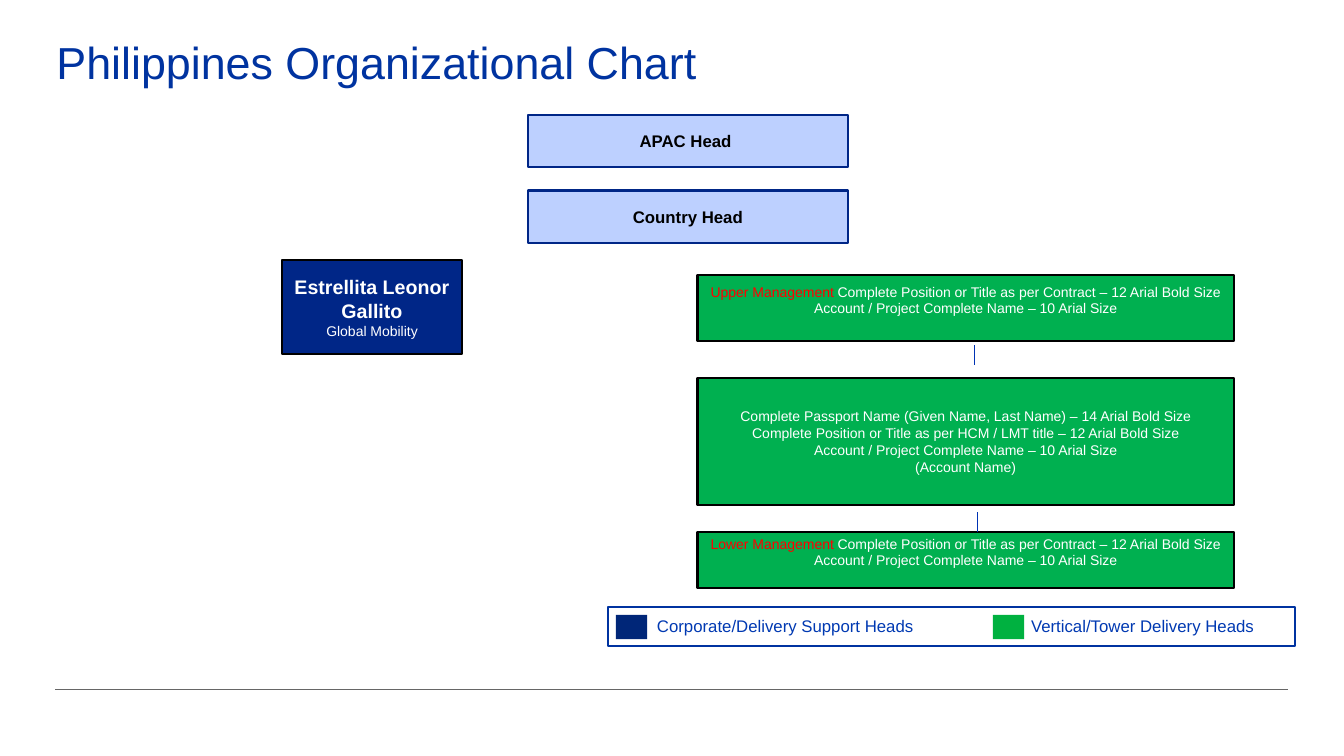
from dataclasses import dataclass

from lxml.etree import SubElement
from pptx import Presentation
from pptx.dml.color import RGBColor
from pptx.enum.shapes import MSO_CONNECTOR, MSO_SHAPE
from pptx.enum.text import MSO_ANCHOR, MSO_AUTO_SIZE, PP_ALIGN
from pptx.oxml.ns import qn
from pptx.util import Pt

COLORS = {
    "title": "0033A0", "label": "0039B2", "link": "0033B4", "rule": "666666",
    "pale": "BDD0FF", "navy": "002687", "green": "00B050",
    "swatch_navy": "002678", "swatch_green": "00B140",
    "black": "000000", "white": "FFFFFF", "red": "FF0000",
}


@dataclass(frozen=True)
class Run:
    text: str
    color: str = "white"
    size: float = 10
    bold: bool = False


@dataclass(frozen=True)
class Box:
    x: float
    y: float
    w: float
    h: float
    fill: str | None
    line: str | None = "black"
    lines: tuple[tuple[Run, ...], ...] = ()
    bottom: float = 0


@dataclass(frozen=True)
class Line:
    x1: float
    y1: float
    x2: float
    y2: float
    color: str = "link"


@dataclass(frozen=True)
class LegendKey:
    x: float
    label_x: float
    label_w: float
    color: str
    text: str


def rgb(name: str) -> RGBColor:
    return RGBColor.from_string(COLORS[name])


def add_run(p, run: Run) -> None:
    r = p.add_run()
    r.text = run.text
    r.font.name = "Arial"
    r.font.size = Pt(run.size)
    r.font.bold = run.bold
    r.font.color.rgb = rgb(run.color)


def add_box(shapes, box: Box) -> None:
    sp = shapes.add_shape(MSO_SHAPE.RECTANGLE, Pt(box.x), Pt(box.y), Pt(box.w), Pt(box.h))
    sp.shadow.inherit = False
    if box.fill:
        sp.fill.solid()
        sp.fill.fore_color.rgb = rgb(box.fill)
    else:
        sp.fill.background()
    if box.line:
        sp.line.color.rgb = rgb(box.line)
        sp.line.width = Pt(1.5)
    else:
        sp.line.fill.background()
    tf = sp.text_frame
    tf.word_wrap = True
    tf.vertical_anchor = MSO_ANCHOR.MIDDLE
    tf.margin_left = tf.margin_right = tf.margin_top = 0
    tf.margin_bottom = Pt(box.bottom)
    for i, runs in enumerate(box.lines):
        p = tf.add_paragraph() if i else tf.paragraphs[0]
        p.alignment = PP_ALIGN.CENTER
        for run in runs:
            add_run(p, run)


def add_line(shapes, line: Line) -> None:
    cxn = shapes.add_connector(MSO_CONNECTOR.STRAIGHT, Pt(line.x1), Pt(line.y1),
                               Pt(line.x2), Pt(line.y2))
    cxn.line.color.rgb = rgb(line.color)
    cxn.line.width = Pt(0.5)
    SubElement(cxn._element.spPr, qn("a:effectLst"))


def add_legend(shapes, frame: Box, keys: tuple[LegendKey, ...]) -> None:
    group = shapes.add_group_shape().shapes
    add_box(group, frame)
    for key in keys:
        add_box(group, Box(key.x, 439.2, 22.3, 17.3, key.color, None))
        label = group.add_textbox(Pt(key.label_x), Pt(436.3), Pt(key.label_w), Pt(21.6))
        tf = label.text_frame
        tf.word_wrap = False
        tf.auto_size = MSO_AUTO_SIZE.SHAPE_TO_FIT_TEXT
        add_run(tf.paragraphs[0], Run(key.text, "label", 12))


def add_title(s, text: str) -> None:
    title = s.shapes.title
    title.left, title.top, title.width, title.height = Pt(40.3), Pt(28.8), Pt(879.8), Pt(83.5)
    tf = title.text_frame
    tf.word_wrap = True
    tf.auto_size = MSO_AUTO_SIZE.NONE
    tf.vertical_anchor = MSO_ANCHOR.TOP
    tf.margin_left = tf.margin_right = tf.margin_top = tf.margin_bottom = 0
    p = tf.paragraphs[0]
    p.alignment = PP_ALIGN.LEFT
    p.line_spacing = 0.9
    add_run(p, Run(text, "title", 32))


def head_box(row: int, text: str) -> Box:
    return Box(377.3, 82.1 + 54 * row, 228.2, 37.4, "pale", "navy",
               ((Run(text, "black", 12, True),),))


def delivery_box(y: float, h: float, lines: tuple[tuple[Run, ...], ...],
                 bottom: float = 0) -> Box:
    return Box(498.2, y, 383, h, "green", lines=lines, bottom=bottom)


ACCOUNT = (Run("Account / Project Complete Name – 10 Arial Size"),)


def management_box(y: float, h: float, level: str) -> Box:
    position = Run("Complete Position or Title as per Contract – 12 Arial Bold Size")
    return delivery_box(y, h, ((Run(f"{level} Management ", "red"), position), ACCOUNT), 11.5)


BOXES = (
    head_box(0, "APAC Head "),
    head_box(1, "Country Head"),
    Box(201.6, 185.8, 128.2, 67, "navy", lines=(
        (Run("Estrellita Leonor Gallito", size=14, bold=True),),
        (Run("Global Mobility"),),
    )),
    management_box(196.6, 46.8, "Upper"),
    delivery_box(270, 90.7, (
        (Run("Complete Passport Name (Given Name, Last Name) – 14 Arial Bold Size"),),
        (Run("Complete Position or Title as per HCM / LMT title – 12 Arial Bold Size"),),
        ACCOUNT,
        (Run("(Account Name)"),),
    )),
    management_box(380.2, 39.6, "Lower"),
)
LINES = (
    Line(39.6, 492.5, 920.2, 492.5, "rule"),
    Line(696.2, 260.6, 696.2, 246.2),
    Line(698.4, 380.2, 698.4, 365.8),
)
LEGEND_FRAME = Box(434.2, 433.4, 491, 28.1, None, "title")
LEGEND_KEYS = (
    LegendKey(439.9, 462.2, 202.3, "swatch_navy", "Corporate/Delivery Support Heads"),
    LegendKey(709.2, 729.4, 175, "swatch_green", "Vertical/Tower Delivery Heads"),
)


def main() -> None:
    prs = Presentation()
    prs.slide_width, prs.slide_height = Pt(960), Pt(540)
    s = prs.slides.add_slide(prs.slide_layouts[5])
    add_title(s, "Philippines Organizational Chart")
    for box in BOXES:
        add_box(s.shapes, box)
    for line in LINES:
        add_line(s.shapes, line)
    add_legend(s.shapes, LEGEND_FRAME, LEGEND_KEYS)
    prs.save("out.pptx")


if __name__ == "__main__":
    main()
